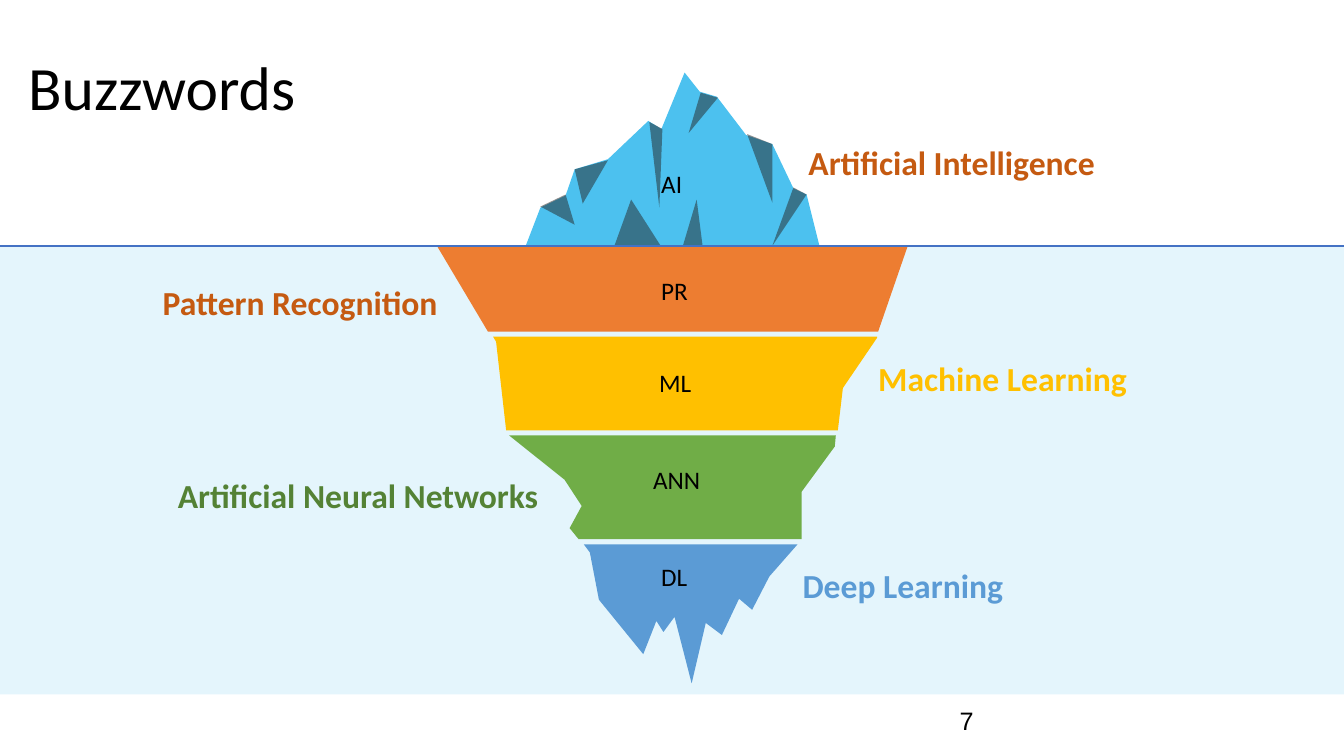
import pptx
import pptx.dml.color
import pptx.enum.shapes
import pptx.enum.text
import pptx.oxml.ns
import pptx.util
from lxml import etree

Inches = pptx.util.Inches
ALIGN = pptx.enum.text.PP_ALIGN
ANCHOR = pptx.enum.text.MSO_ANCHOR

COLORS = {
    "ice": "4CC1EF", "shade": "262626", "black": "000000", "line": "4472C4",
    "orange": "ED7D31", "gold": "FFC000", "green": "70AD47", "blue": "5B9BD5",
    "rust": "C55A11", "dark green": "548235",
}
WATERLINE = 2.44
SEA_DEPTH = 4.45

TIP = [(5.21, 2.45), (8.13, 2.45), (8, 1.93), (7.87, 1.87), (7.66, 1.43),
       (7.4, 1.34), (7.11, 0.96), (6.94, 0.91), (6.79, 0.72), (6.56, 1.28),
       (6.43, 1.2), (6.03, 1.58), (5.7, 1.68), (5.61, 1.94), (5.36, 2.06)]
SHADOWS = [
    [(5.36, 2.05), (5.7, 2.23), (5.61, 1.93)],
    [(6.91, 1.98), (6.77, 2.45), (6.97, 2.45)],
    [(6.44, 1.21), (6.54, 2.06), (6.57, 1.28)],
    [(6.95, 0.92), (6.83, 1.32), (7.12, 0.97)],
    [(7.41, 1.33), (7.66, 2.01), (7.66, 1.43)],
    [(7.87, 1.86), (8, 1.93), (7.66, 2.44)],
    [(6.03, 1.59), (5.7, 1.68), (5.78, 2.02)],
    [(6.56, 2.45), (6.26, 1.98), (6.09, 2.45)],
]
LAYERS = [
    ("orange", [(8.71, 3.29), (9, 2.45), (4.34, 2.45), (4.84, 3.29)]),
    ("gold", [(4.89, 3.34), (4.92, 3.39), (5.02, 4.27), (8.31, 4.27),
              (8.36, 3.85), (8.7, 3.35), (8.7, 3.34)]),
    ("green", [(5.05, 4.32), (5.6, 4.76), (5.77, 5.02), (5.65, 5.24),
               (5.74, 5.35), (7.95, 5.35), (7.95, 4.88), (8.28, 4.43),
               (8.29, 4.32)]),
    ("blue", [(5.79, 5.4), (5.85, 5.48), (5.94, 5.95), (6.38, 6.49),
              (6.51, 6.16), (6.58, 6.27), (6.69, 6.12), (6.86, 6.78),
              (7, 6.18), (7.16, 6.3), (7.33, 5.94), (7.46, 6.05),
              (7.63, 5.72), (7.91, 5.4)]),
]
# text, left, top, width
ABBREVIATIONS = [
    ("AI", 6.46, 1.62, 0.67), ("PR", 6.46, 2.68, 0.62), ("ML", 6.44, 3.59, 0.67),
    ("ANN", 6.38, 4.56, 0.67), ("DL", 6.46, 5.52, 0.49),
]
# text, left, top, width, colour, alignment
TERMS = [
    ("Artificial Intelligence", 7.66, 1.36, 3.2, "rust", ALIGN.RIGHT),
    ("Pattern Recognition", 1.14, 2.75, 3.2, "rust", ALIGN.RIGHT),
    ("Machine Learning", 8.71, 3.5, 3.2, "gold", ALIGN.LEFT),
    ("Artificial Neural Networks", 1.67, 4.66, 3.67, "dark green", ALIGN.RIGHT),
    ("Deep Learning", 7.96, 5.55, 3.2, "blue", ALIGN.LEFT),
]


def rgb(name):
    return pptx.dml.color.RGBColor.from_string(COLORS[name])


def paint(sp, color, opacity=100):
    sp.shadow.inherit = False
    sp.line.fill.background()
    sp.fill.solid()
    sp.fill.fore_color.rgb = rgb(color)
    if opacity < 100:
        clr = sp._element.spPr.find(".//" + pptx.oxml.ns.qn("a:srgbClr"))
        alpha = etree.SubElement(clr, pptx.oxml.ns.qn("a:alpha"))
        alpha.set("val", str(opacity * 1000))


def add_outline(shapes, points, color, opacity=100):
    corners = [(Inches(x), Inches(y)) for x, y in points]
    builder = shapes.build_freeform(*corners[0])
    builder.add_line_segments(corners[1:], close=True)
    paint(builder.convert_to_shape(), color, opacity)


def write(sp, text, size, color="black", font="Calibri", bold=False,
          align=ALIGN.LEFT, anchor=ANCHOR.TOP, side=0.1):
    tf = sp.text_frame
    tf.text = text
    tf.word_wrap = True
    tf.auto_size = pptx.enum.text.MSO_AUTO_SIZE.NONE
    tf.vertical_anchor = anchor
    tf.margin_left = tf.margin_right = Inches(side)
    tf.margin_top = tf.margin_bottom = Inches(0.05)
    p = tf.paragraphs[0]
    p.alignment = align
    f = p.runs[0].font
    f.name, f.size, f.bold = font, pptx.util.Pt(size), bold
    f.color.rgb = rgb(color)


def add_text(s, text, left, top, width, height, size, **style):
    sp = s.shapes.add_textbox(Inches(left), Inches(top), Inches(width), Inches(height))
    write(sp, text, size, **style)


def main():
    prs = pptx.Presentation()
    prs.slide_width, prs.slide_height = Inches(13.33), Inches(7.5)
    s = prs.slides.add_slide(prs.slide_layouts[5])

    # Sea
    sea = s.shapes.add_shape(pptx.enum.shapes.MSO_SHAPE.RECTANGLE, 0,
                             Inches(WATERLINE), prs.slide_width, Inches(SEA_DEPTH))
    paint(sea, "ice", 15)

    # Title
    title = s.shapes.title
    title.left, title.top = Inches(0.18), Inches(0.17)
    title.width, title.height = Inches(11.5), Inches(1.45)
    write(title, "Buzzwords", 44, anchor=ANCHOR.MIDDLE)
    title.text_frame.paragraphs[0].line_spacing = 0.9

    # Iceberg
    tip = s.shapes.add_group_shape()
    add_outline(tip.shapes, TIP, "ice")
    for points in SHADOWS:
        add_outline(tip.shapes, points, "shade", 50)
    for color, points in LAYERS:
        add_outline(s.shapes, points, color)

    # Waterline
    line = s.shapes.add_connector(pptx.enum.shapes.MSO_CONNECTOR.STRAIGHT, 0,
                                  Inches(WATERLINE), prs.slide_width, Inches(WATERLINE))
    line.line.color.rgb = rgb("line")
    line.line.width = pptx.util.Pt(1)
    etree.SubElement(line._element.spPr, pptx.oxml.ns.qn("a:effectLst"))

    # Labels
    for text, left, top, width in ABBREVIATIONS:
        add_text(s, text, left, top, width, 0.4, 18)
    for text, left, top, width, color, align in TERMS:
        add_text(s, text, left, top, width, 0.5, 24, color=color, bold=True,
                 align=align, anchor=ANCHOR.BOTTOM, side=0)

    # Slide number
    add_text(s, "7", 9.42, 6.95, 3, 0.4, 18, font="Arial", anchor=ANCHOR.MIDDLE)

    prs.save("out.pptx")


if __name__ == "__main__":
    main()
